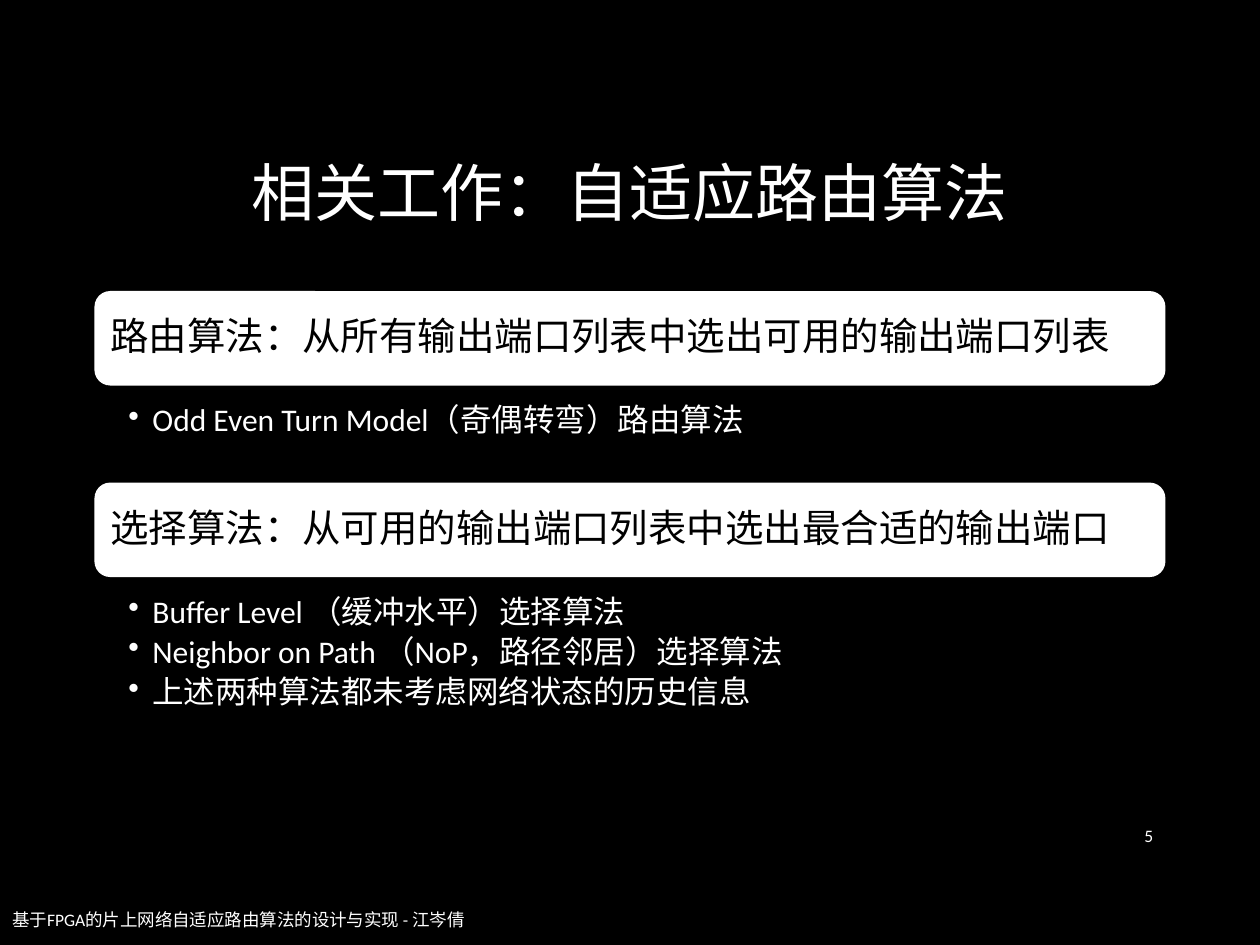
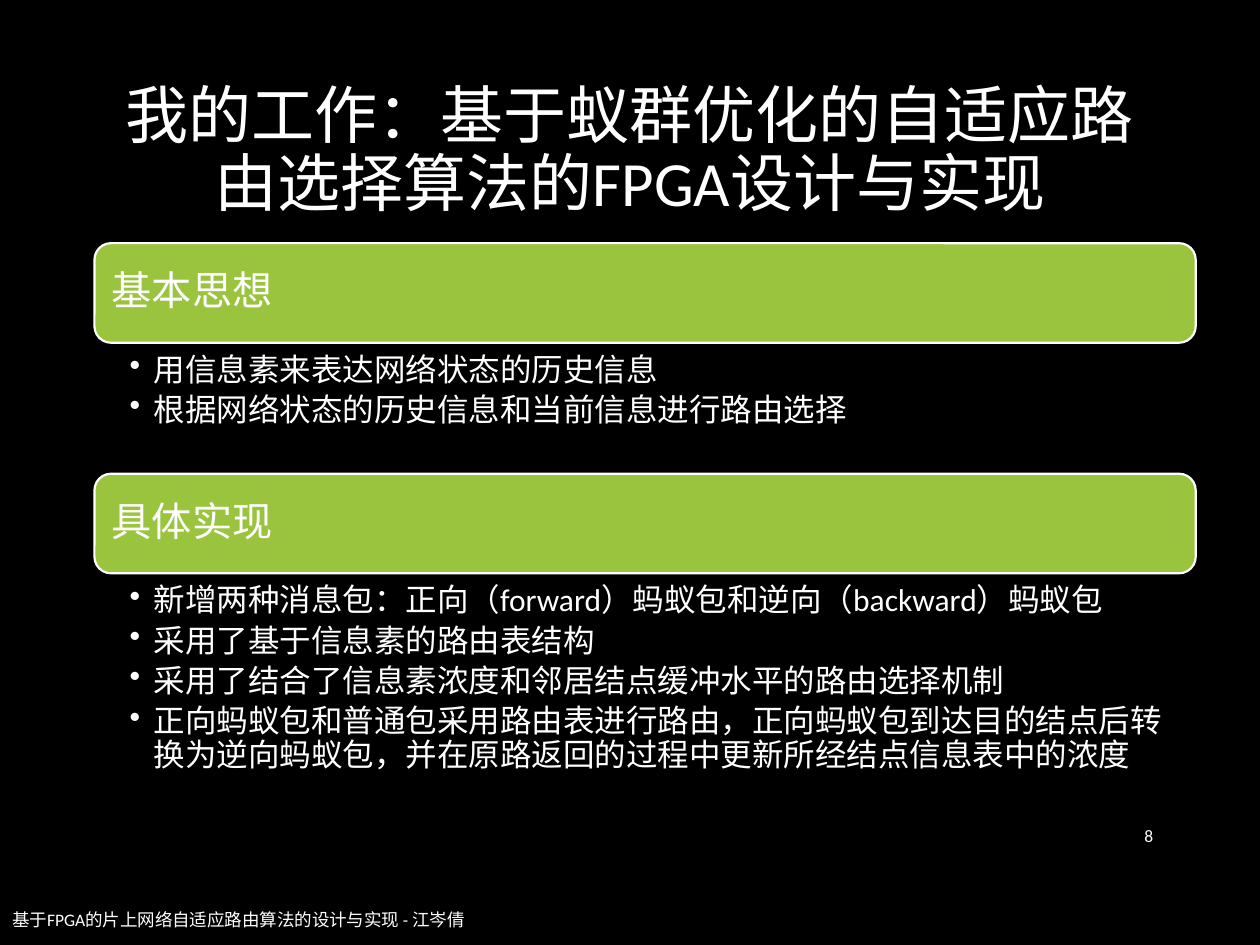
"""Builds two slides on adaptive routing for networks on chip."""
from lxml import etree
from pptx import Presentation
from pptx.dml.color import RGBColor
from pptx.enum.shapes import MSO_SHAPE
from pptx.enum.text import MSO_ANCHOR, PP_ALIGN
from pptx.oxml.ns import qn
from pptx.util import Inches, Pt

ROUND = MSO_SHAPE.ROUNDED_RECTANGLE
TOP, MIDDLE = MSO_ANCHOR.TOP, MSO_ANCHOR.MIDDLE
LEFT, CENTER, RIGHT = PP_ALIGN.LEFT, PP_ALIGN.CENTER, PP_ALIGN.RIGHT

FONT = "Calibri"
COLORS = {"black": "000000", "white": "FFFFFF", "green": "9AC43E"}
FOOTER = "基于FPGA的片上网络自适应路由算法的设计与实现 - 江岑倩"

STYLES = {
    "title": {"size": 36, "anchor": MIDDLE, "inset": (0.1, 0.05, 0.1, 0.05),
              "para": {"alignment": CENTER, "line_spacing": 0.9}},
    "bar": {"anchor": MIDDLE,
            "para": {"alignment": LEFT, "line_spacing": 0.9}},
    "list": {"size": 18, "anchor": TOP, "bullet": True,
             "para": {"alignment": LEFT, "line_spacing": 0.9, "space_after": Pt(3.6)}},
    "footer": {"size": 10, "anchor": MIDDLE, "inset": (0.1, 0.05, 0.1, 0.05),
               "para": {"alignment": LEFT}},
    "number": {"size": 10, "anchor": MIDDLE, "inset": (0.1, 0.05, 0.1, 0.05),
               "para": {"alignment": RIGHT}},
}

SLIDES = [
    {
        "title": "相关工作：自适应路由算法", "top": 0.68, "number": "5",
        "width": 8.5, "height": 0.75, "gap": 0.12, "size": 22, "pad": 0.09, "indent": 0.27,
        "fill": "white", "ink": "black", "line": None,
        "parts": [
            (2.31, 0.45, "路由算法：从所有输出端口列表中选出可用的输出端口列表",
             ["Odd Even Turn Model（奇偶转弯）路由算法"]),
            (3.83, 1.39, "选择算法：从可用的输出端口列表中选出最合适的输出端口",
             ["Buffer Level （缓冲水平）选择算法",
              "Neighbor on Path （NoP，路径邻居）选择算法",
              "上述两种算法都未考虑网络状态的历史信息"]),
        ],
    },
    {
        "title": "我的工作：基于蚁群优化的自适应路由选择算法的FPGA设计与实现",
        "top": 0.33, "number": "8",
        "width": 8.74, "height": 0.79, "gap": 0.06, "size": 23, "pad": 0.1, "indent": 0.28,
        "fill": "green", "ink": "white", "line": "white",
        "parts": [
            (1.93, 0.91, "基本思想",
             ["用信息素来表达网络状态的历史信息",
              "根据网络状态的历史信息和当前信息进行路由选择"]),
            (3.76, 2.29, "具体实现",
             ["新增两种消息包：正向（forward）蚂蚁包和逆向（backward）蚂蚁包",
              "采用了基于信息素的路由表结构",
              "采用了结合了信息素浓度和邻居结点缓冲水平的路由选择机制",
              "正向蚂蚁包和普通包采用路由表进行路由，正向蚂蚁包到达目的结点后"
              "转换为逆向蚂蚁包，并在原路返回的过程中更新所经结点信息表中的浓度"]),
        ],
    },
]


def color(name):
    return RGBColor.from_string(COLORS[name])


def write(shape, lines, style, ink="white", **extra):
    form = {**STYLES[style], **extra}
    frame = shape.text_frame
    frame.word_wrap = True
    frame.vertical_anchor = form["anchor"]
    for side, inset in zip(("left", "top", "right", "bottom"), form["inset"]):
        setattr(frame, f"margin_{side}", Inches(inset))
    for index, line in enumerate(lines):
        para = frame.add_paragraph() if index else frame.paragraphs[0]
        for key, value in form["para"].items():
            setattr(para, key, value)
        run = para.add_run()
        run.text = line
        run.font.name = FONT
        run.font.size = Pt(form["size"])
        run.font.color.rgb = color(ink)
        if form.get("bullet"):
            props = para._p.get_or_add_pPr()
            props.set("marL", str(Inches(0.19)))
            props.set("indent", str(Inches(-0.19)))
            etree.SubElement(props, qn("a:buChar")).set("char", "•")


deck = Presentation()
deck.slide_width, deck.slide_height = Inches(10), Inches(7.5)
back = deck.slide_master.background.fill
back.solid()
back.fore_color.rgb = color("black")

for page in SLIDES:
    slide = deck.slides.add_slide(deck.slide_layouts[6])
    shapes = slide.shapes
    frames = [
        ("title", page["title"], (0.75, page["top"], 8.5, 1.75)),
        ("footer", FOOTER, (0, 7.1, 5.47, 0.4)),
        ("number", page["number"], (8.62, 6.43, 0.63, 0.4)),
    ]
    for style, text, place in frames:
        write(shapes.add_textbox(*map(Inches, place)), [text], style)

    for top, depth, head, points in page["parts"]:
        place = (0.75, top, page["width"], page["height"])
        bar = shapes.add_shape(ROUND, *map(Inches, place))
        bar.shadow.inherit = False
        bar.fill.solid()
        bar.fill.fore_color.rgb = color(page["fill"])
        if page["line"]:
            bar.line.color.rgb = color(page["line"])
            bar.line.width = Pt(1.25)
        else:
            bar.line.fill.background()
        write(bar, [head], "bar", page["ink"], size=page["size"], inset=(page["pad"],) * 4)

        place = (0.75, top + page["height"] + page["gap"], page["width"], depth)
        box = shapes.add_textbox(*map(Inches, place))
        write(box, points, "list", inset=(page["indent"], 0.03, 0.14, 0.03))

deck.save("out.pptx")
